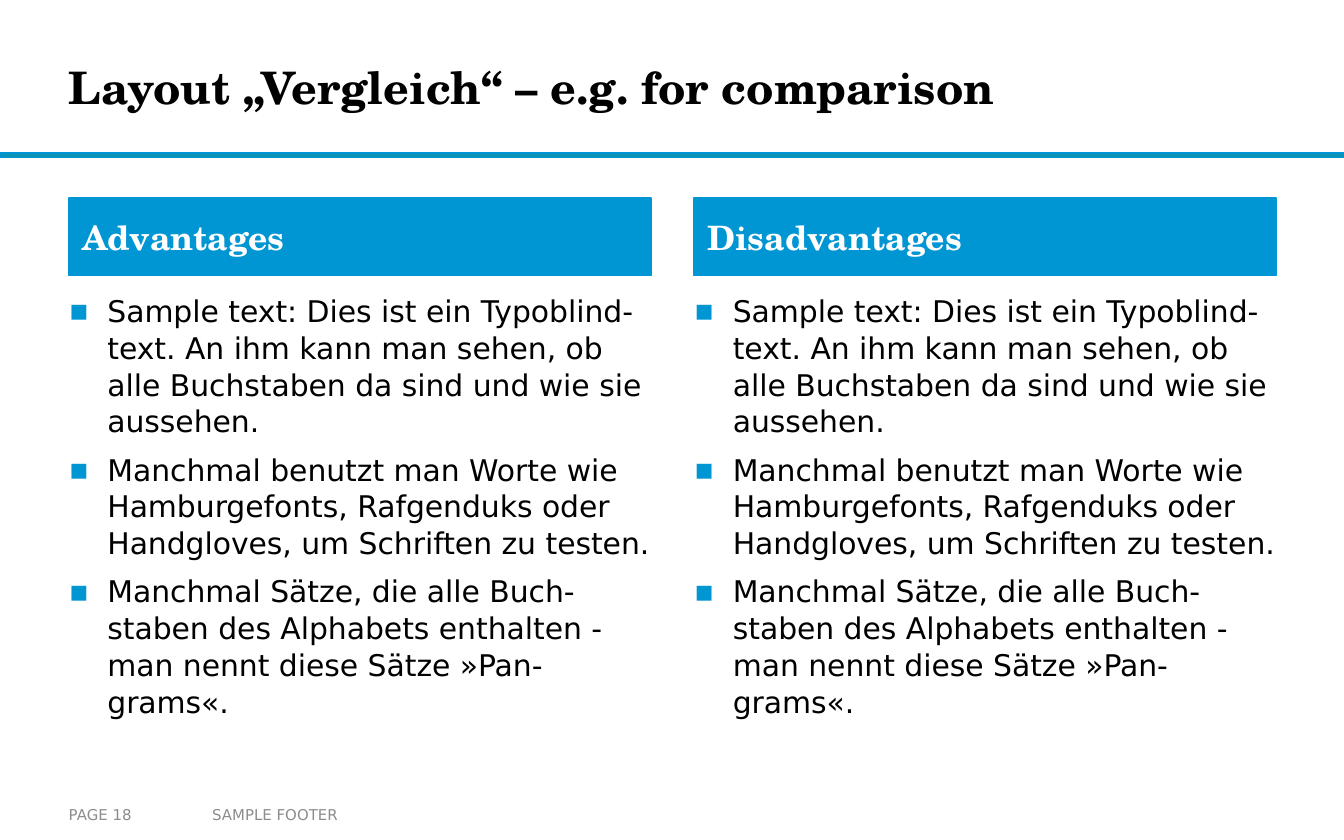
from lxml.etree import SubElement
from pptx import Presentation
from pptx.dml.color import RGBColor
from pptx.enum.shapes import MSO_SHAPE as Shape
from pptx.enum.text import MSO_ANCHOR as Anchor, MSO_AUTO_SIZE as AutoSize, PP_ALIGN as Align
from pptx.oxml.ns import qn
from pptx.util import Cm, Pt

TITLE = "Layout „Vergleich“ – e.g. for comparison"
POINTS = [
    "Sample text: Dies ist ein Typoblind-text. An ihm kann man sehen, ob alle Buchstaben da sind und wie sie aussehen.",
    "Manchmal benutzt man Worte wie Hamburgefonts, Rafgenduks oder Handgloves, um Schriften zu testen.",
    "Manchmal Sätze, die alle Buch-staben des Alphabets enthalten - man nennt diese Sätze »Pan-grams«.",
]
COLUMNS = [("Advantages", POINTS), ("Disadvantages", POINTS)]
FOOTERS = [("PAGE 18", 1.3, 2.48, 0), ("SAMPLE FOOTER", 3.76, 8.94, 0.25)]

BLUE = RGBColor(0x00, 0x96, 0xD3)
TEAL = RGBColor(0x0C, 0x94, 0xB7)
BLACK = RGBColor(0, 0, 0)
WHITE = RGBColor(255, 255, 255)
GREY = RGBColor(0x8C, 0x8C, 0x8C)
SERIF, SANS = "TeX Gyre Schola", "DejaVu Sans"
LEFT, COLUMN_WIDTH, COLUMN_STEP = 1.3, 11, 11.82
INDENT = 0.73


def place(box, left, top, width, height):
    box.left, box.top, box.width, box.height = Cm(left), Cm(top), Cm(width), Cm(height)


def write(box, lines, font, size, color, bold=False, anchor=Anchor.MIDDLE, side=0, edge=0.13):
    frame = box.text_frame
    frame.text = "\n".join(lines)
    frame.word_wrap = True
    frame.auto_size = AutoSize.NONE
    frame.vertical_anchor = anchor
    frame.margin_left = frame.margin_right = Cm(side)
    frame.margin_top = frame.margin_bottom = Cm(edge)
    for para in frame.paragraphs:
        para.alignment = Align.LEFT
        para.space_before = Pt(0)
        for span in para.runs:
            span.font.name, span.font.size, span.font.bold = font, Pt(size), bold
            span.font.color.rgb = color


def paint(box, fill, line):
    box.fill.solid()
    box.fill.fore_color.rgb = fill
    box.line.color.rgb = line
    box.line.width = Pt(1)


def indent(para, margin, first):
    props = para._p.get_or_add_pPr()
    props.set("marL", str(Cm(margin)))
    props.set("indent", str(Cm(first)))
    return props


def add_bullet(para):
    props = indent(para, INDENT, -INDENT)
    color = SubElement(props, qn("a:buClr"))
    SubElement(color, qn("a:srgbClr"), val=str(BLUE))
    SubElement(props, qn("a:buFont"), typeface=SANS)
    SubElement(props, qn("a:buChar"), char="▪")


deck = Presentation()
deck.slide_width, deck.slide_height = Cm(25.4), Cm(15.88)
page = deck.slides.add_slide(deck.slide_layouts.get_by_name("Comparison"))
title, *bodies = page.placeholders

place(title, LEFT, 0.38, 19, 2.51)
write(title, [TITLE], SERIF, 24, BLACK, bold=True, edge=0)

rule = page.shapes.add_shape(Shape.RECTANGLE, 0, Cm(2.9), deck.slide_width, Cm(0.08))
rule.shadow.inherit = False
paint(rule, TEAL, BLUE)

for number, (heading, points) in enumerate(COLUMNS):
    header, body = bodies[2 * number:2 * number + 2]
    left = LEFT + number * COLUMN_STEP
    place(header, left, 3.74, COLUMN_WIDTH, 1.47)
    paint(header, BLUE, BLUE)
    write(header, [heading], SERIF, 18, WHITE, bold=True)
    indent(header.text_frame.paragraphs[0], 0.25, 0)

    place(body, left, 5.38, COLUMN_WIDTH, 9.07)
    write(body, points, SANS, 16, BLACK, anchor=Anchor.TOP)
    for para in body.text_frame.paragraphs:
        para.space_after = Pt(6)
        para.line_spacing = 1.03
        add_bullet(para)

for text, left, width, side in FOOTERS:
    footer = page.shapes.add_textbox(Cm(left), Cm(15.04), Cm(width), Cm(0.71))
    write(footer, [text], SANS, 8, GREY, side=side)

deck.save("out.pptx")
